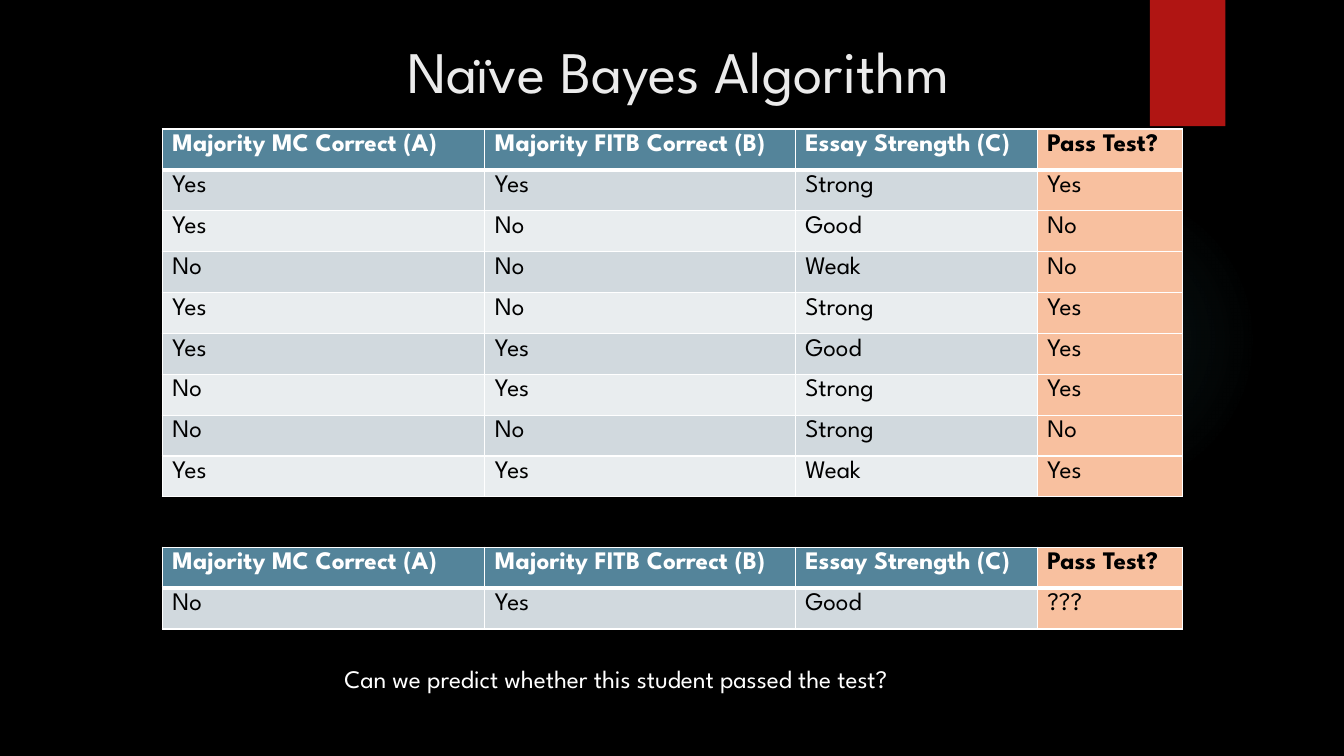
import pptx
import pptx.dml.color
import pptx.enum.shapes
import pptx.enum.text
import pptx.oxml
import pptx.oxml.ns
import pptx.util

Cm = pptx.util.Cm
Pt = pptx.util.Pt
KIND = pptx.enum.shapes.MSO_SHAPE
ALIGN = pptx.enum.text.PP_ALIGN
ANCHOR = pptx.enum.text.MSO_ANCHOR
SPACE = pptx.oxml.ns.nsdecls("a")

HEAD = ["Majority MC Correct (A)", "Majority FITB Correct (B)",
        "Essay Strength (C)", "Pass Test?"]
PAST = [
    ["Yes", "Yes", "Strong", "Yes"],
    ["Yes", "No", "Good", "No"],
    ["No", "No", "Weak", "No"],
    ["Yes", "No", "Strong", "Yes"],
    ["Yes", "Yes", "Good", "Yes"],
    ["No", "Yes", "Strong", "Yes"],
    ["No", "No", "Strong", "No"],
    ["Yes", "Yes", "Weak", "Yes"],
]
QUERY = [["No", "Yes", "Good", "???"]]
WIDTHS = [8.13, 7.82, 6.1, 3.66]
ROW = 1.03


class Deck:
    font = "League Spartan"
    hues = {
        "back": "000000", "title": "EBEBEB", "white": "FFFFFF",
        "black": "000000", "red": "B01513", "glow": "50B9C1",
        "head": "54849A", "odd": "D1D9DE", "even": "E9EDEF",
        "pass": "F8C09F",
    }

    def __init__(self):
        self.file = pptx.Presentation()
        self.file.slide_width, self.file.slide_height = Cm(33.87), Cm(19.05)
        self.slide = self.file.slides.add_slide(self.file.slide_layouts[6])
        self.paint(self.slide.background.fill, "back")

    def hue(self, name):
        return pptx.dml.color.RGBColor.from_string(self.hues[name])

    def paint(self, fill, name):
        fill.solid()
        fill.fore_color.rgb = self.hue(name)

    def shape(self, kind, box):
        item = self.slide.shapes.add_shape(kind, *map(Cm, box))
        item.shadow.inherit = False
        item.line.fill.background()
        return item

    def block(self, box, name):
        self.paint(self.shape(KIND.RECTANGLE, box).fill, name)

    def glow(self, box, name, stops):
        """Draw a disc that fades outward; stops are (place, opacity) percents."""
        item = self.shape(KIND.OVAL, box)
        marks = "".join(
            f'<a:gs pos="{at * 1000}"><a:srgbClr val="{self.hues[name]}">'
            f'<a:alpha val="{alpha * 1000}"/></a:srgbClr></a:gs>'
            for at, alpha in stops)
        fade = pptx.oxml.parse_xml(
            f'<a:gradFill {SPACE}><a:gsLst>{marks}</a:gsLst><a:path path="circle">'
            '<a:fillToRect l="50000" t="50000" r="50000" b="50000"/>'
            '</a:path></a:gradFill>')
        item.element.spPr.find(pptx.oxml.ns.qn("a:prstGeom")).addnext(fade)

    def label(self, frame, words, size, name, bold=False, align=ALIGN.LEFT):
        line = frame.paragraphs[0]
        line.alignment = align
        run = line.add_run()
        run.text = words
        style = {"name": self.font, "size": Pt(size), "bold": bold}
        for key, value in style.items():
            setattr(run.font, key, value)
        run.font.color.rgb = self.hue(name)

    def text(self, box, words, size, name, align=ALIGN.LEFT, anchor=ANCHOR.TOP):
        frame = self.slide.shapes.add_textbox(*map(Cm, box)).text_frame
        for key, value in {"word_wrap": True, "vertical_anchor": anchor}.items():
            setattr(frame, key, value)
        self.label(frame, words, size, name, align=align)

    def edge(self, cell, first, second):
        """Rule the cell in white, thick between the head and the first row."""
        widths = {"L": 1, "R": 1, "T": 3 if second else 1, "B": 3 if first else 1}
        for side, width in widths.items():
            cell._tc.get_or_add_tcPr().append(pptx.oxml.parse_xml(
                f'<a:ln{side} {SPACE} w="{Pt(width)}"><a:solidFill>'
                f'<a:srgbClr val="{self.hues["white"]}"/></a:solidFill></a:ln{side}>'))

    def table(self, left, top, rows):
        rows = [HEAD] + rows
        box = left, top, sum(WIDTHS), ROW * len(rows)
        grid = self.slide.shapes.add_table(
            len(rows), len(HEAD), *map(Cm, box)).table
        for col, width in zip(grid.columns, WIDTHS):
            col.width = Cm(width)
        for r, row in enumerate(rows):
            grid.rows[r].height = Cm(ROW)
            band = "head" if r == 0 else "odd" if r % 2 else "even"
            for c, words in enumerate(row):
                cell = grid.cell(r, c)
                last = c == len(HEAD) - 1
                self.edge(cell, r == 0, r == 1)
                self.paint(cell.fill, "pass" if last else band)
                ink = "white" if r == 0 and not last else "black"
                self.label(cell.text_frame, words, 18, ink, bold=r == 0)


def main():
    deck = Deck()
    deck.glow((23.9, 4.65, 7.82, 7.82), "glow", [(0, 7), (36, 6), (69, 0)])
    deck.block((28.98, 0, 1.9, 3.18), "red")
    deck.text((1.37, 0.43, 31.47, 2.69), "Naïve Bayes Algorithm", 42, "title",
              ALIGN.CENTER, ANCHOR.MIDDLE)
    deck.table(4.09, 3.25, PAST)
    deck.table(4.09, 13.79, QUERY)
    deck.text((8.43, 16.59, 17.12, 1.02),
              "Can we predict whether this student passed the test?", 18, "white")
    deck.file.save("out.pptx")


if __name__ == "__main__":
    main()
